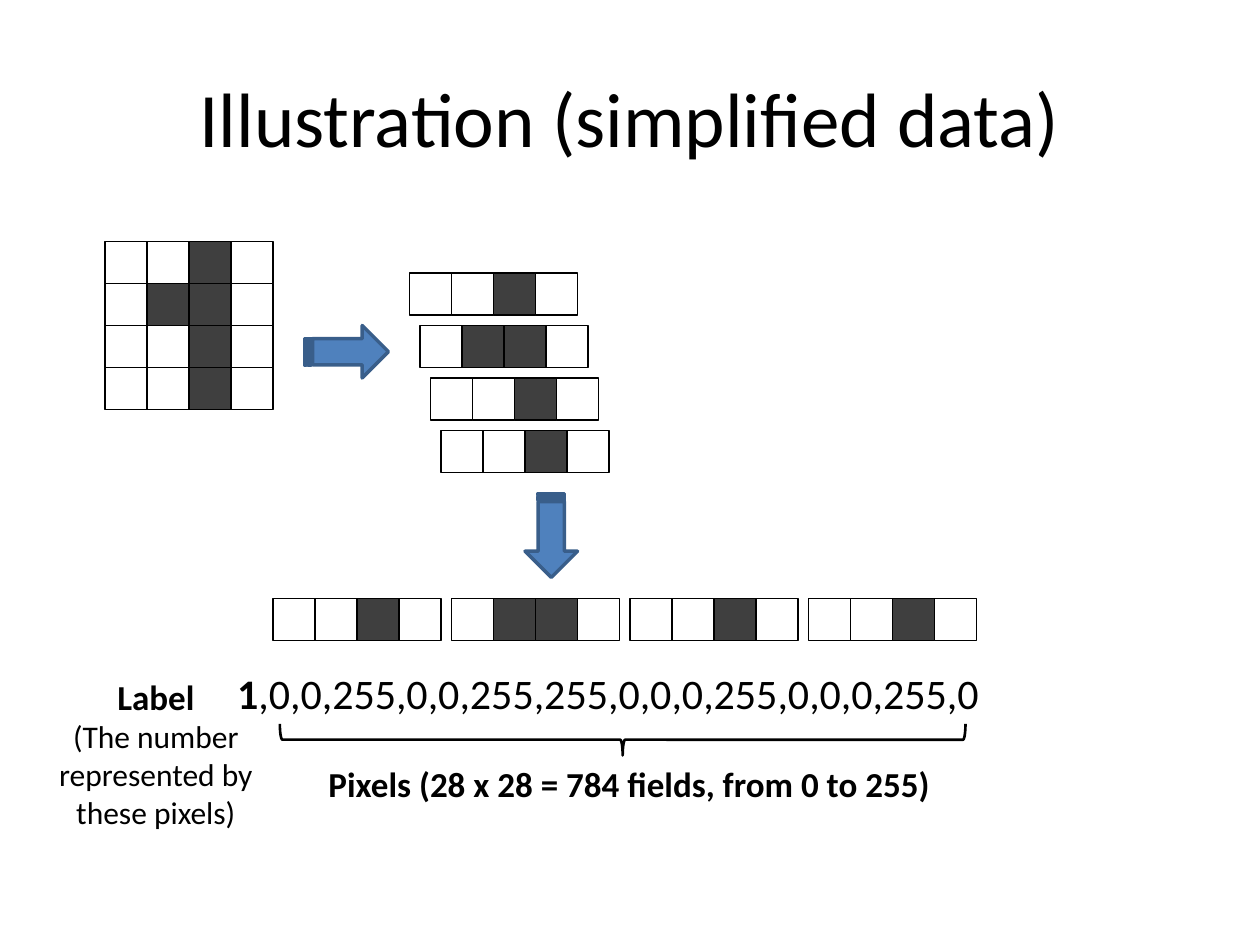
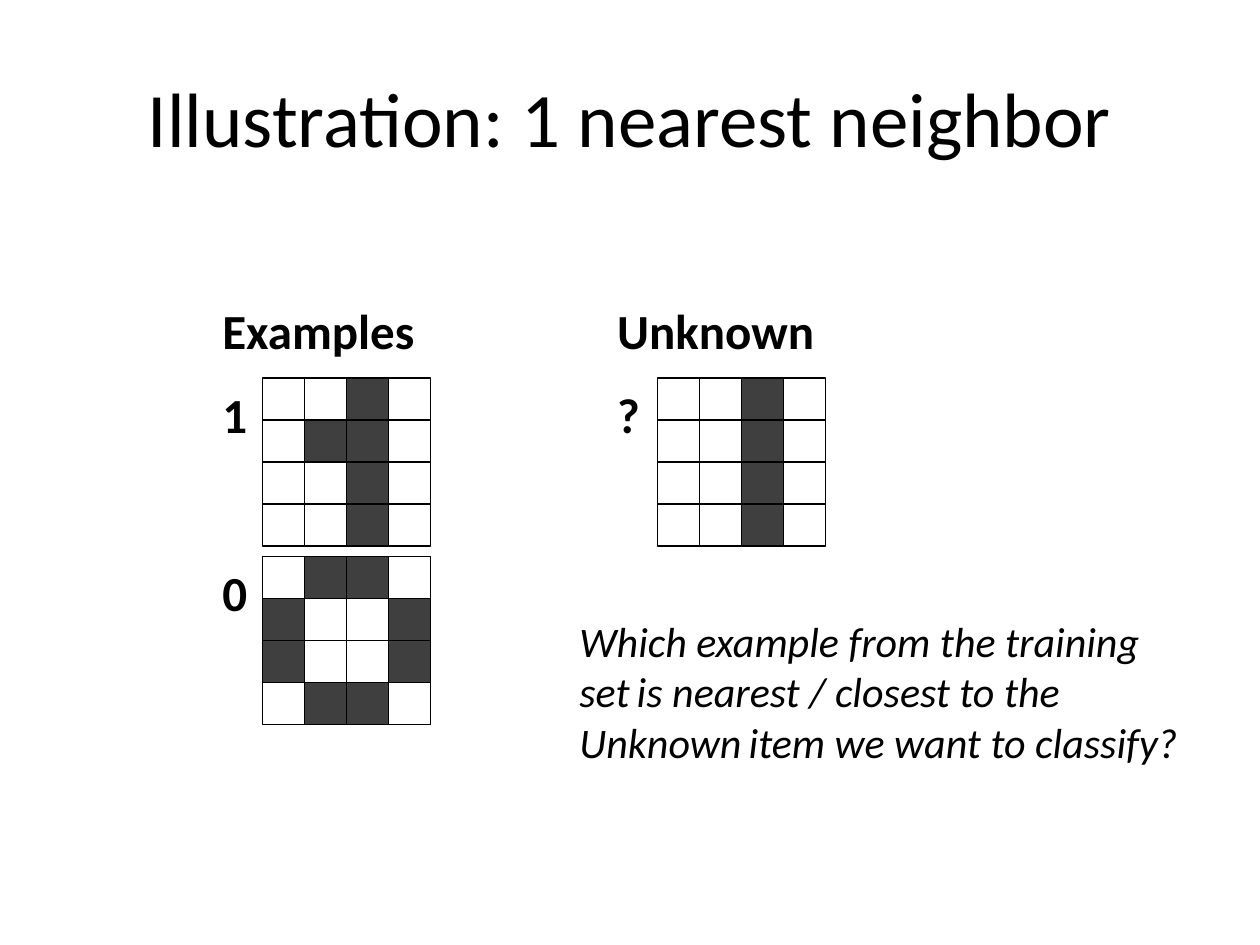
import dataclasses

import pptx
import pptx.dml.color
import pptx.enum.shapes
import pptx.enum.text
import pptx.util

PX = 7620
CELL = 40
GAP = 10
ONE = ("..#.", ".##.", "..#.", "..#.")
ZERO = (".##.", "#..#", "#..#", ".##.")
UNKNOWN = ("..#.",) * 4
SHAPES = pptx.enum.shapes.MSO_SHAPE
LEFT = pptx.enum.text.PP_ALIGN.LEFT
CENTER = pptx.enum.text.PP_ALIGN.CENTER
TOP = pptx.enum.text.MSO_ANCHOR.TOP
MIDDLE = pptx.enum.text.MSO_ANCHOR.MIDDLE


@dataclasses.dataclass(frozen=True)
class Theme:
    """Fonts, colours, type sizes and line widths shared by the slides."""
    font: str = "Calibri"
    ink: str = "000000"
    paper: str = "FFFFFF"
    dark: str = "3F3F3F"
    arrow: str = "4F81BD"
    arrow_edge: str = "395E8A"
    title: int = 44
    heading: int = 28
    body: int = 24
    caption: int = 20
    note: int = 18
    cell_line: float = 0.75
    brace_line: float = 1.5
    arrow_line: float = 2


@dataclasses.dataclass(frozen=True)
class Box:
    """A rectangle in px."""
    left: int
    top: int
    width: int
    height: int

    def inner(self, left, top, width, height):
        """Return a box placed relative to this one."""
        return Box(self.left + left, self.top + top, width, height)

    def emu(self):
        """Return left, top, width and height in EMU."""
        return [pptx.util.Emu(length * PX) for length in dataclasses.astuple(self)]


@dataclasses.dataclass(frozen=True)
class Span:
    """A stretch of text in one style."""
    text: str
    size: int
    bold: bool = False
    italic: bool = False


THEME = Theme()


def color(code):
    """Turn a hex code into a colour."""
    return pptx.dml.color.RGBColor.from_string(code)


def add_text(page, box, paras, align=LEFT, anchor=TOP):
    """Add a text box from a list of paragraphs, each a list of spans."""
    frame = page.shapes.add_textbox(*box.emu()).text_frame
    frame.word_wrap = True
    frame.vertical_anchor = anchor
    for index, spans in enumerate(paras):
        para = frame.add_paragraph() if index else frame.paragraphs[0]
        para.alignment = align
        for span in spans:
            run = para.add_run()
            run.text = span.text
            run.font.name = THEME.font
            run.font.size = pptx.util.Pt(span.size)
            run.font.bold = span.bold
            run.font.italic = span.italic
            run.font.color.rgb = color(THEME.ink)


def add_figure(page, kind, box, fill, line, width, rotation=0):
    """Add a preset shape, hollow when fill is None."""
    figure = page.shapes.add_shape(kind, *box.emu())
    figure.shadow.inherit = False
    figure.rotation = rotation
    if fill:
        figure.fill.solid()
        figure.fill.fore_color.rgb = color(fill)
    else:
        figure.fill.background()
    figure.line.color.rgb = color(line)
    figure.line.width = pptx.util.Pt(width)
    return figure


def add_arrow(page, box, rotation=0):
    """Add a striped block arrow."""
    add_figure(page, SHAPES.STRIPED_RIGHT_ARROW, box, THEME.arrow,
               THEME.arrow_edge, THEME.arrow_line, rotation)


def add_pixels(page, box, rows):
    """Draw rows of pixels from the top left corner of the box."""
    for row, marks in enumerate(rows):
        for column, mark in enumerate(marks):
            cell = box.inner(column * CELL, row * CELL, CELL, CELL)
            fill = THEME.dark if mark == "#" else THEME.paper
            add_figure(page, SHAPES.RECTANGLE, cell, fill, THEME.ink, THEME.cell_line)


def add_page(deck, title):
    """Add a blank slide with the shared title."""
    page = deck.slides.add_slide(deck.slide_layouts[6])
    add_text(page, Box(60, 36, 1080, 150), [[Span(title, THEME.title)]], CENTER, MIDDLE)
    return page


def draw_unrolling(page, box):
    """Show a digit cut into rows that are then laid end to end."""
    side = 4 * CELL
    add_pixels(page, box, ONE)
    add_arrow(page, box.inner(190, 80, 80, 50))
    for index, row in enumerate(ONE):
        add_pixels(page, box.inner(290 + index * GAP, 30 + index * (CELL + GAP), side, CELL), [row])
        add_pixels(page, box.inner(160 + index * (side + GAP), 340, side, CELL), [row])
    add_arrow(page, box.inner(385, 255, 80, 50), 90)


def draw_record(page, box):
    """Show the digit as a labelled line of numbers with captions."""
    values = ["255" if mark == "#" else "0" for mark in "".join(ONE)]
    brace = add_figure(page, SHAPES.RIGHT_BRACE, box.inner(547, -252, 30, 653),
                       None, THEME.ink, THEME.brace_line, 90)
    brace.adjustments[0] = 0.08
    add_text(page, box.inner(270, 90, 649, 53),
             [[Span("Pixels (28 x 28 = 784 fields, from 0 to 255)", THEME.caption, bold=True)]])
    add_text(page, box.inner(0, 7, 235, 150),
             [[Span("Label", THEME.caption, bold=True)],
              [Span("(The number represented by these pixels)", THEME.note)]], CENTER)
    add_text(page, box.inner(183, 0, 737, 60),
             [[Span("1", THEME.body, bold=True), Span("," + ",".join(values), THEME.body)]])


def draw_samples(page, box, heading, samples):
    """Stack labelled pixel digits under a heading."""
    side = 4 * CELL
    add_text(page, box.inner(0, 0, box.width, 68), [[Span(heading, THEME.heading, bold=True)]])
    for index, (label, rows) in enumerate(samples):
        top = 80 + index * (side + GAP)
        add_pixels(page, box.inner(50, top, side, side), rows)
        add_text(page, box.inner(0, top, 48, 68), [[Span(label, THEME.heading, bold=True)]])


def draw_question(page, box):
    """Ask which example is nearest."""
    space = Span(" ", THEME.note)
    parts = [Span(text, THEME.body, italic=True) for text in (
        "Which example from the training set",
        "is nearest / closest to the Unknown",
        "item we want to classify?")]
    add_text(page, box, [[parts[0], space, parts[1], space, parts[2]]])


def main():
    """Build and save the deck."""
    deck = pptx.Presentation()
    deck.slide_width = pptx.util.Emu(1200 * PX)
    deck.slide_height = pptx.util.Emu(900 * PX)

    page = add_page(deck, "Illustration (simplified data)")
    draw_unrolling(page, Box(100, 230, 830, 380))
    draw_record(page, Box(31, 630, 920, 157))

    page = add_page(deck, "Illustration: 1 nearest neighbor")
    draw_samples(page, Box(200, 280, 214, 410), "Examples", [("1", ONE), ("0", ZERO)])
    draw_samples(page, Box(576, 280, 290, 240), "Unknown", [("?", UNKNOWN)])
    draw_question(page, Box(540, 580, 598, 157))

    deck.save("out.pptx")


if __name__ == "__main__":
    main()
